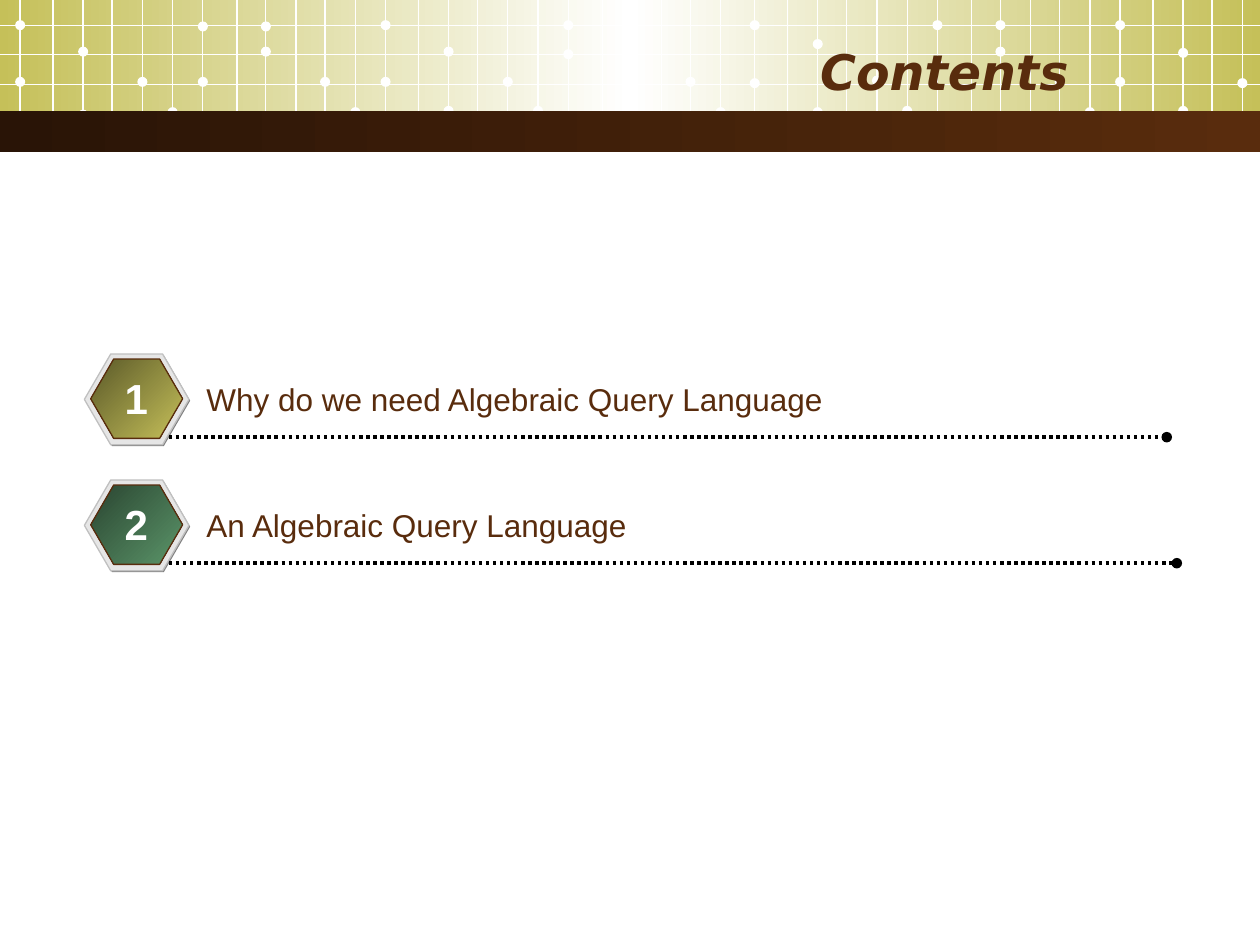
import copy

import pptx
import pptx.dml.color
import pptx.enum.dml
import pptx.enum.shapes
import pptx.enum.text
import pptx.oxml.ns
import pptx.oxml.xmlchemy
import pptx.util

Inches = pptx.util.Inches
Pt = pptx.util.Pt
Shape = pptx.enum.shapes.MSO_SHAPE
Align = pptx.enum.text.PP_ALIGN
Fit = pptx.enum.text.MSO_AUTO_SIZE
qn = pptx.oxml.ns.qn
make = pptx.oxml.xmlchemy.OxmlElement

BROWN, WHITE, OLIVE = "592C0D", "FFFFFF", "C5C059"
STARTS = (0.16, 3.06, 5.99, 8.89)
STEPS = (0, 0.26, 0.5, 0.73, 0.97, 1.21, 1.45, 1.72, 1.95, 2.19, 2.42, 2.66)
ROWS = (0.2, 0.43, 0.67, 0.89)
DOT = 0.08
DOT_COLS = (0, 0, 2, 2, 4, 5, 6, 6, 8, 8, 10, 11)
DOT_TOPS = (
    (0.61, 0.16, 0.37, 0.87, 0.61, 0.85, 0.61, 0.17, 0.37, 0.17, 0.61, 0.85),
    (0.61, 0.16, 0.37, 0.84, 0.61, 0.84, 0.39, 0.16, 0.38, 0.16, 0.61, 0.85),
    (0.62, 0.16, 0.31, 0.85, 0.6, 0.84, 0.47, 0.16, 0.37, 0.16, 0.61, 0.85),
    (0.61, 0.16, 0.38, 0.84, 0.62),
)
ITEMS = (
    ("Why do we need Algebraic Query Language", ("5B5929", OLIVE), 7.92),
    ("An Algebraic Query Language", ("2A4531", "5B9569"), 8),
)


def color(code):
    return pptx.dml.color.RGBColor.from_string(code)


def paint(shape, tones, turn=0):
    if len(tones) == 1:
        shape.fill.solid()
        shape.fill.fore_color.rgb = color(tones[0])
        return
    shape.fill.gradient()
    shape.fill.gradient_angle = turn
    stops = shape._element.spPr.find(".//" + qn("a:gsLst"))
    while len(stops) < len(tones):
        stops.append(copy.deepcopy(stops[-1]))
    for i, (stop, tone) in enumerate(zip(shape.fill.gradient_stops, tones)):
        stop.position = i / (len(tones) - 1)
        stop.color.rgb = color(tone)


def add_form(shapes, kind, box, tones, edge=None, turn=0):
    shape = shapes.add_shape(kind, *map(Inches, box))
    shape.shadow.inherit = False
    paint(shape, tones, turn)
    if edge:
        shape.line.color.rgb = color(edge)
        shape.line.width = Pt(0.75)
    else:
        shape.line.fill.background()
    return shape


def add_rule(shapes, start, end, tone, width):
    kind = pptx.enum.shapes.MSO_CONNECTOR.STRAIGHT
    rule = shapes.add_connector(kind, *map(Inches, start + end))
    rule.line.color.rgb = color(tone)
    rule.line.width = Pt(width)
    rule._element.spPr.append(make("a:effectLst"))
    return rule


def write(frame, text, size, tone, face="Arial", bold=False, slant=False, align=Align.LEFT):
    para = frame.paragraphs[0]
    para.alignment = align
    run = para.add_run()
    run.text = text
    font = run.font
    font.name, font.size = face, Pt(size)
    font.bold, font.italic = bold, slant
    font.color.rgb = color(tone)


def add_label(shapes, box, text, size, tone, wrap=True, **style):
    label = shapes.add_textbox(*map(Inches, box))
    label.text_frame.word_wrap = wrap
    label.text_frame.auto_size = Fit.SHAPE_TO_FIT_TEXT
    write(label.text_frame, text, size, tone, **style)


def add_grid(shapes, left, top, width, height):
    grid = shapes.add_group_shape().shapes
    for start, tops in zip(STARTS, DOT_TOPS):
        for col, y in zip(DOT_COLS, tops):
            x = left + start + STEPS[col] - DOT / 2
            add_form(grid, Shape.OVAL, (x, top + y, DOT, DOT), [WHITE])
        for step in STEPS:
            x = start + step
            if x < width:
                add_rule(grid, (left + x, top), (left + x, top + height), WHITE, 0.75)
    for y in ROWS:
        add_rule(grid, (left, top + y), (left + width, top + y), WHITE, 0.75)


def add_head(slide, left, top, width, height):
    shapes = slide.shapes
    add_form(shapes, Shape.RECTANGLE, (left, top, width, 1.02), (OLIVE, WHITE, OLIVE))
    add_grid(shapes, left, top, width, 1.1)
    band = (left, top + height - 0.33, width, 0.33)
    add_form(shapes, Shape.RECTANGLE, band, ("291406", BROWN))
    title = shapes.title
    title.left, title.top = Inches(left + 0.5), Inches(top + 0.25)
    title.width, title.height = Inches(8.08), Inches(0.62)
    frame = title.text_frame
    frame.auto_size = Fit.NONE
    frame.vertical_anchor = pptx.enum.text.MSO_ANCHOR.MIDDLE
    write(frame, "Contents", 28, BROWN, "DejaVu Sans", True, True, Align.RIGHT)
    shapes._spTree.append(title._element)


def add_badge(shapes, left, top, width, height, tones):
    badge = shapes.add_group_shape().shapes
    layers = (
        ((left + 0.01, top + 0.01, width, height), ["808080"], None),
        ((left, top, width, height), ["E6E6E6"], "C0C0C0"),
        ((left + 0.05, top + 0.04, width - 0.1, height - 0.09), tones, BROWN),
    )
    for box, fill, edge in layers:
        form = add_form(badge, Shape.HEXAGON, box, fill, edge, 315)
        form.adjustments[0] = 0.29


def add_item(shapes, left, top, width, number, text, tones):
    add_badge(shapes, left, top, 0.83, 0.72, tones)
    y = top + 0.66
    rule = add_rule(shapes, (left + 0.67, y), (left + 0.67 + width, y), "000000", 2)
    rule.line.dash_style = pptx.enum.dml.MSO_LINE.ROUND_DOT
    tail = make("a:tailEnd")
    tail.set("type", "oval")
    rule._element.spPr.find(qn("a:ln")).append(tail)
    add_label(shapes, (left + 0.87, top + 0.16, width - 0.25, 0.4), text, 18, BROWN)
    add_label(shapes, (left + 0.22, top + 0.1, 0.38, 0.5), str(number), 24, WHITE,
              wrap=False, bold=True, align=Align.CENTER)


def main():
    deck = pptx.Presentation()
    deck.slide_width, deck.slide_height = Inches(10), Inches(7.5)
    slide = deck.slides.add_slide(deck.slide_layouts[5])
    add_head(slide, 0, 0, 10, 1.21)
    for i, (text, tones, width) in enumerate(ITEMS):
        add_item(slide.shapes, 0.67, 2.81 + i, width, i + 1, text, tones)
    deck.save("out.pptx")


if __name__ == "__main__":
    main()
